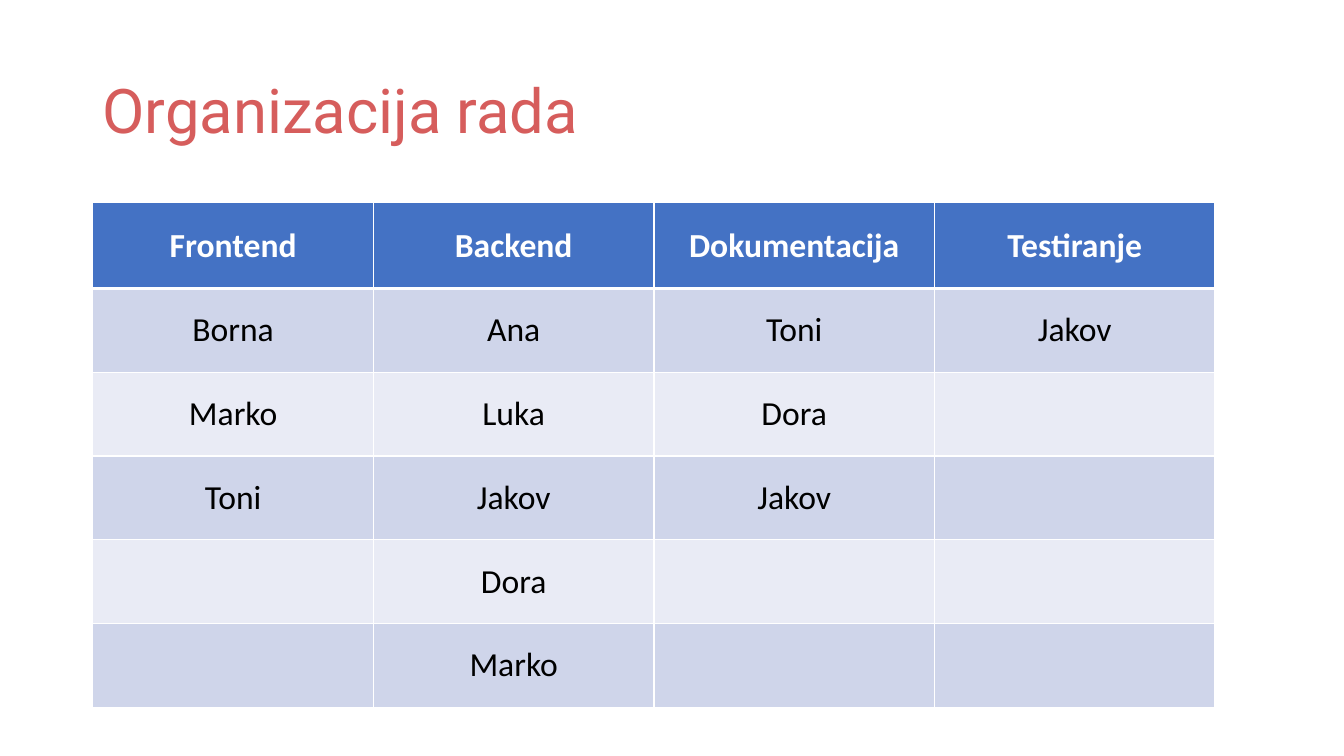
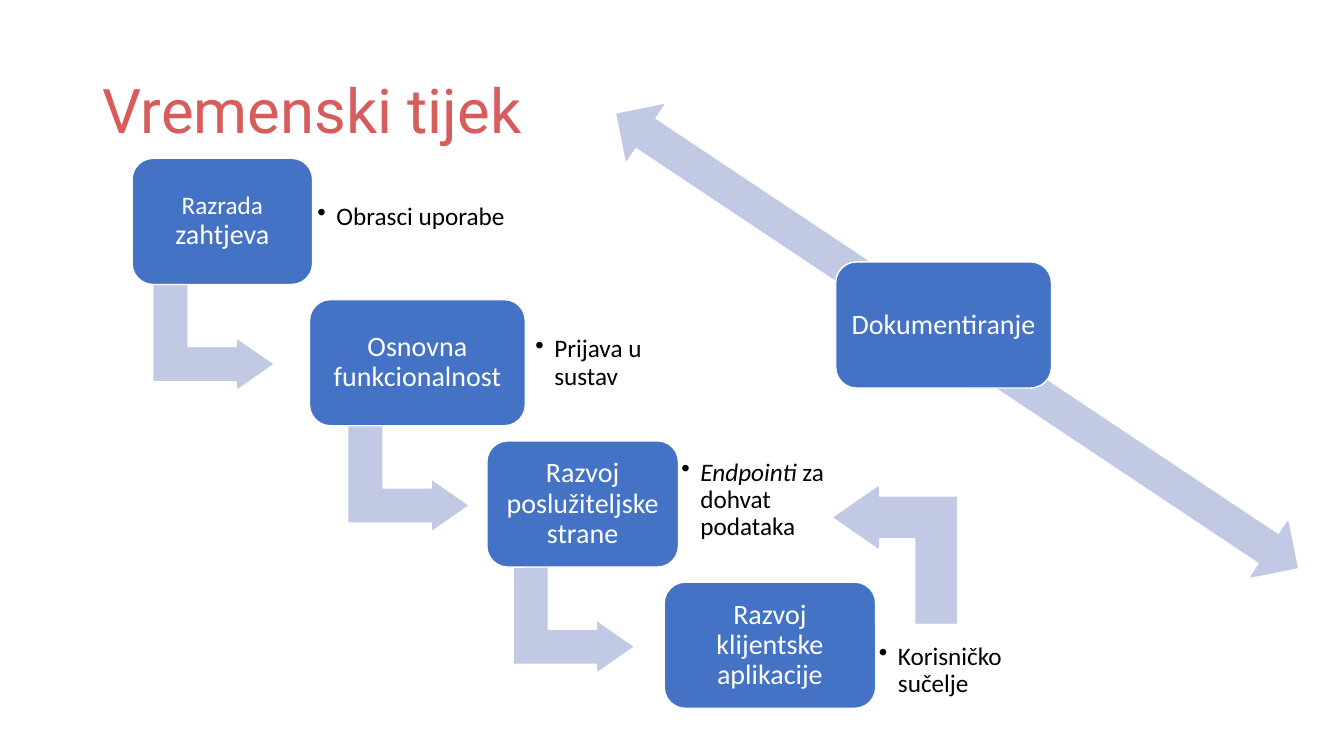
from pptx import Presentation
from pptx import util as u
from pptx.dml.color import RGBColor
from pptx.enum import shapes, text
from pptx.oxml import parse_xml
from pptx.oxml.ns import nsdecls

BLUE, PALE, WHITE, BLACK = "4472C4", "C1C9E4", "FFFFFF", "000000"
CORAL, BANDS = "D65D5C", ("CFD5EA", "E9EBF5")
KIND = shapes.MSO_SHAPE


def rgb(code):
    return RGBColor.from_string(code)


def cm(*vals):
    return [u.Cm(v) for v in vals]


def write(frame, runs, size=20, color=BLACK, font="Calibri", bold=False,
          align=text.PP_ALIGN.CENTER, space=None, pad=None):
    """Fill a frame with one paragraph; runs is a string or (text, format) pairs."""
    frame.word_wrap = True
    frame.auto_size = text.MSO_AUTO_SIZE.NONE
    frame.vertical_anchor = text.MSO_ANCHOR.MIDDLE
    if pad is not None:
        frame.margin_left = frame.margin_right = u.Cm(pad)
        frame.margin_top = frame.margin_bottom = u.Cm(pad)
    par = frame.paragraphs[0]
    par.alignment = align
    par.line_spacing = space
    if isinstance(runs, str):
        runs = [(runs, {})]
    for words, form in runs:
        run = par.add_run()
        run.text = words
        run.font.name = font
        run.font.size = u.Pt(form.get("size", size))
        run.font.bold = bold
        run.font.italic = form.get("italic", False)
        run.font.color.rgb = rgb(color)
    return par


def edge(cell, base):
    """Draw white cell borders, the lower one base points wide."""
    props = cell._tc.get_or_add_tcPr()
    for spot, side in enumerate("LRTB"):
        width = u.Pt(base if side == "B" else 1)
        props.insert(spot, parse_xml(
            f'<a:ln{side} {nsdecls("a")} w="{width}"><a:solidFill>'
            f'<a:srgbClr val="{WHITE}"/></a:solidFill></a:ln{side}>'))


class Deck:
    def __init__(self):
        self.prs = Presentation()
        self.prs.slide_width, self.prs.slide_height = u.Cm(33.87), u.Cm(19.05)
        self.slide = None

    def page(self, title):
        self.slide = self.prs.slides.add_slide(self.prs.slide_layouts[5])
        head = self.slide.shapes.title
        head.left, head.top, head.width, head.height = cm(2.33, 1.02, 29.21, 3.68)
        write(head.text_frame, title, size=44, color=CORAL, font="Roboto",
              align=text.PP_ALIGN.LEFT, space=0.9)

    def shape(self, kind, x, y, w, h, fill=PALE, line=WHITE, turn=0, adj=()):
        item = self.slide.shapes.add_shape(kind, *cm(x, y, w, h))
        item.shadow.inherit = False
        item.fill.solid()
        item.fill.fore_color.rgb = rgb(fill)
        item.line.color.rgb = rgb(line)
        item.line.width = u.Pt(1)
        item.rotation = turn
        for spot, val in enumerate(adj):
            item.adjustments[spot] = val
        return item

    def box(self, x, y, w, h, runs):
        item = self.shape(KIND.ROUNDED_RECTANGLE, x, y, w, h, fill=BLUE)
        write(item.text_frame, runs, color=WHITE, space=0.9, pad=0.2)

    def bend(self, x, y, w, h, turn, line=WHITE):
        self.shape(KIND.BENT_UP_ARROW, x, y, w, h, line=line, turn=turn,
                   adj=(0.33, 0.25, 0.36))

    def note(self, x, y, w, h, runs):
        item = self.slide.shapes.add_textbox(*cm(x, y, w, h))
        par = write(item.text_frame, runs, size=18, space=0.9, pad=0.18,
                    align=text.PP_ALIGN.LEFT)
        props = par._p.get_or_add_pPr()
        props.set("marL", str(u.Cm(0.48)))
        props.set("indent", str(u.Cm(-0.48)))
        props.append(parse_xml(f'<a:buChar {nsdecls("a")} char="•"/>'))

    def table(self, x, y, wide, tall, top, rows):
        """Place a table; top is the height of the header row."""
        count = len(rows[0])
        high = top + tall * (len(rows) - 1)
        grid = self.slide.shapes.add_table(
            len(rows), count, *cm(x, y, wide * count, high)).table
        for col in grid.columns:
            col.width = u.Cm(wide)
        for r, row in enumerate(rows):
            head = r == 0
            grid.rows[r].height = u.Cm(top if head else tall)
            for c, words in enumerate(row):
                cell = grid.cell(r, c)
                cell.fill.solid()
                cell.fill.fore_color.rgb = rgb(BLUE if head else BANDS[(r - 1) % 2])
                edge(cell, 3 if head else 1)
                cell.vertical_anchor = text.MSO_ANCHOR.MIDDLE
                if words:
                    write(cell.text_frame, words, size=24, bold=head,
                          color=WHITE if head else BLACK)


def team(deck):
    deck.page("Organizacija rada")
    deck.table(2.34, 5.11, 7.07, 2.11, 2.16, [
        ("Frontend", "Backend", "Dokumentacija", "Testiranje"),
        ("Borna", "Ana", "Toni", "Jakov"),
        ("Marko", "Luka", "Dora", ""),
        ("Toni", "Jakov", "Jakov", ""),
        ("", "Dora", "", ""),
        ("", "Marko", "", ""),
    ])


def flow(deck):
    deck.page("Vremenski tijek")
    high, wide, tall = 3.18, 2.69, 3.07
    steps = [  # box width, box text, note place, note text
        (4.55, [("Razrada ", {"size": 18}), ("zahtjeva", {})],
         (7.82, 4.19, 6.25, 2.57), "Obrasci uporabe"),
        (5.44, "Osnovna funkcionalnost",
         (13.31, 7.87, 3.63, 2.57), "Prijava u sustav"),
        (4.83, "Razvoj poslužiteljske strane",
         (16.99, 11.33, 4.45, 2.57),
         [("Endpointi", {"italic": True}), (" za dohvat podataka", {})]),
        (5.33, "Razvoj klijentske aplikacije",
         (21.97, 15.95, 4.27, 1.91), "Korisničko sučelje"),
    ]
    for n, (w, words, place, extra) in enumerate(steps):
        x, y = 3.33 + 4.47 * n, 3.99 + 3.56 * n
        if n < len(steps) - 1:
            deck.bend(x + (w - wide) / 2 - 0.22, y + 2.98, wide, tall, 90)
        deck.box(x, y, w, high, words)
        deck.note(*place, extra)
    deck.bend(20.85, 12.45, 3.43, tall, 270, line=PALE)
    deck.shape(KIND.LEFT_RIGHT_ARROW, 13.82, 7.75, 20.6, 1.68, line=PALE, turn=33.7)
    deck.box(21.06, 6.6, 5.44, high, "Dokumentiranje")


def main():
    deck = Deck()
    team(deck)
    flow(deck)
    deck.prs.save("out.pptx")


if __name__ == "__main__":
    main()
